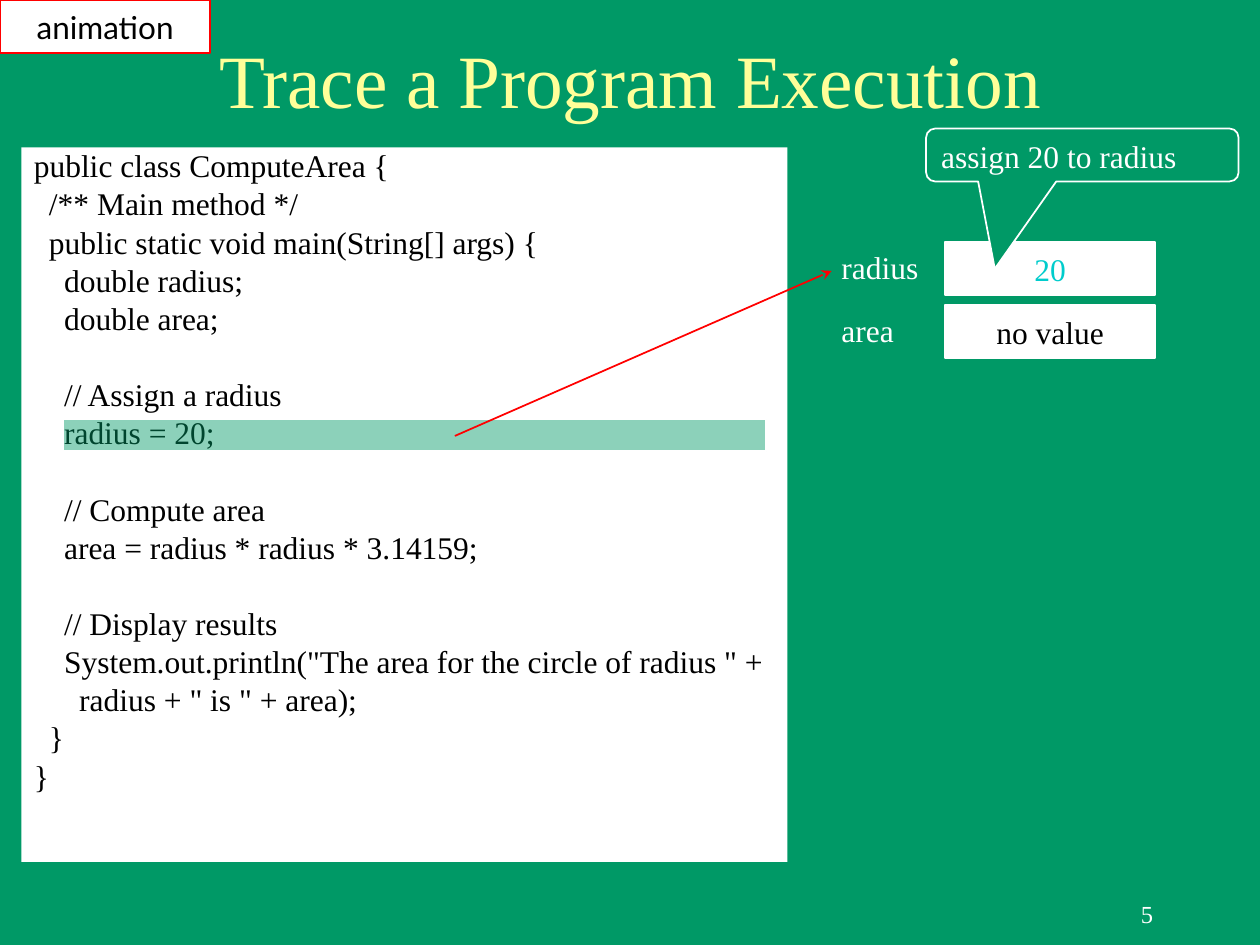
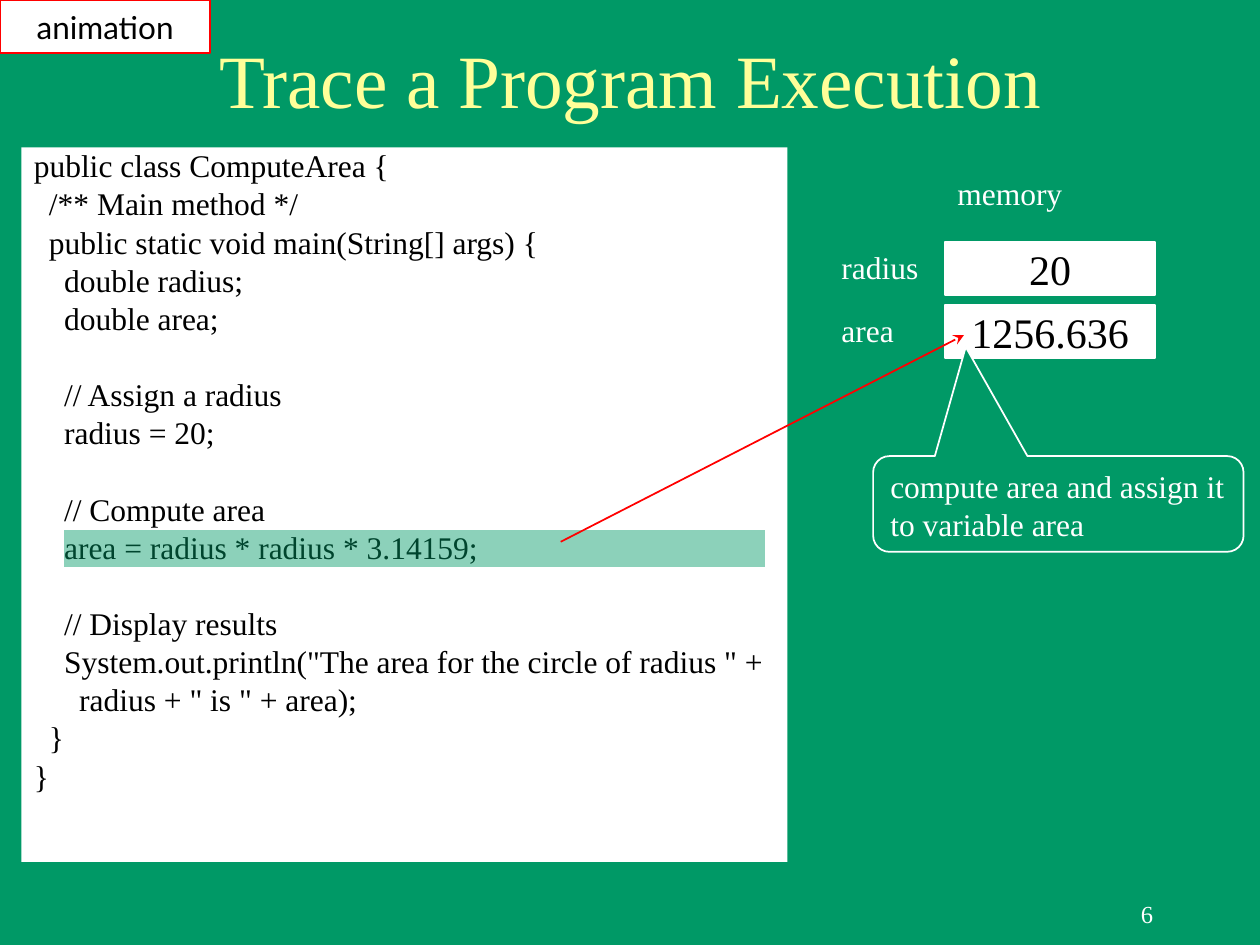
from dataclasses import dataclass
from typing import NamedTuple

from lxml.etree import SubElement
from pptx import Presentation
from pptx.dml.color import RGBColor
from pptx.enum.shapes import MSO_CONNECTOR, MSO_SHAPE
from pptx.enum.text import MSO_ANCHOR, PP_ALIGN
from pptx.oxml.ns import qn
from pptx.util import Inches, Pt


@dataclass(frozen=True)
class Theme:
    green: str = "009966"
    yellow: str = "FFFF99"
    white: str = "FFFFFF"
    black: str = "000000"
    red: str = "FF0000"
    cyan: str = "00CCCC"
    serif: str = "Times New Roman"
    sans: str = "Lato"
    title_size: float = 43
    value_size: float = 24
    body_size: float = 18
    footer_size: float = 14
    line_width: float = 1
    highlight_alpha: int = 45


class Box(NamedTuple):
    left: float
    top: float
    width: float
    height: float

    def lengths(self):
        return [Inches(side) for side in self]


THEME = Theme()
TITLE = "Trace a Program Execution"
PROGRAM = """public class ComputeArea {
  /** Main method */
  public static void main(String[] args) {
    double radius;
    double area;

    // Assign a radius
    radius = 20;

    // Compute area
    area = radius * radius * 3.14159;

    // Display results
    System.out.println("The area for the circle of radius " +
      radius + " is " + area);
  }
}"""

TAG_BOX = Box(0, 0, 1.67, 0.42)
TITLE_BOX = Box(0.75, 0.33, 8.5, 0.58)
PROGRAM_BOX = Box(0.17, 1.17, 6.08, 5.67)
MEMORY_BOX = Box(6.58, 1.92, 2.59, 0.92)
NUMBER_BOX = Box(7.17, 7, 2.08, 0.5)


def write(paragraph, text, color, size=THEME.body_size, font=THEME.serif):
    run = paragraph.add_run()
    run.text = text
    run.font.size = Pt(size)
    run.font.name = font
    run.font.color.rgb = RGBColor.from_string(color)


def add_label(slide, box, text, color=THEME.white, size=THEME.body_size,
              align=PP_ALIGN.LEFT, anchor=MSO_ANCHOR.TOP):
    frame = slide.shapes.add_textbox(*box.lengths()).text_frame
    frame.word_wrap = True
    frame.vertical_anchor = anchor
    frame.paragraphs[0].alignment = align
    write(frame.paragraphs[0], text, color, size)


def add_panel(slide, box, fill, line=None, preset=MSO_SHAPE.RECTANGLE):
    panel = slide.shapes.add_shape(preset, *box.lengths())
    panel.shadow.inherit = False
    panel.fill.solid()
    panel.fill.fore_color.rgb = RGBColor.from_string(fill)
    if line:
        panel.line.color.rgb = RGBColor.from_string(line)
        panel.line.width = Pt(THEME.line_width)
    else:
        panel.line.fill.background()
    return panel


def add_centred_panel(slide, box, text, line, color=THEME.black,
                      size=THEME.body_size, font=THEME.serif):
    frame = add_panel(slide, box, THEME.white, line).text_frame
    frame.word_wrap = False
    frame.vertical_anchor = MSO_ANCHOR.MIDDLE
    frame.paragraphs[0].alignment = PP_ALIGN.CENTER
    write(frame.paragraphs[0], text, color, size, font)


def add_program(slide, box):
    """Set the listing with indents for nesting and spacing for blank lines."""
    level_indent, line_gap, blank_line = 0.06, 4.5, 21.8
    frame = add_panel(slide, box, THEME.white).text_frame
    frame.word_wrap = True
    frame.vertical_anchor = MSO_ANCHOR.TOP
    paragraph = frame.paragraphs[0]
    space_before = line_gap
    for number, line in enumerate(PROGRAM.splitlines()):
        statement = line.lstrip()
        if not statement:
            space_before += blank_line
            continue
        if number:
            paragraph = frame.add_paragraph()
        paragraph.alignment = PP_ALIGN.LEFT
        paragraph.line_spacing = 0.8
        paragraph.space_before = Pt(space_before)
        depth = len(line) - len(statement)
        paragraph._p.get_or_add_pPr().set("marL", str(Inches(level_indent * depth)))
        write(paragraph, statement, THEME.black)
        space_before = line_gap


def add_memory(slide, box, values, color, size):
    """Stack one name and value cell per variable, evenly over the box."""
    name_width, cell_height = 0.92, 0.42
    pitch = (box.height - cell_height) / (len(values) - 1)
    for row, (name, value) in enumerate(values.items()):
        top = box.top + row * pitch
        add_label(slide, Box(box.left, top, name_width, cell_height), name)
        cell = Box(box.left + name_width, top, box.width - name_width, cell_height)
        changed = value != "no value"
        add_centred_panel(slide, cell, value, THEME.white,
                          color if changed else THEME.black,
                          size if changed else THEME.body_size)


def add_highlight(slide, top, height):
    bar = add_panel(slide, Box(0.5, top, 5.58, height), THEME.green, THEME.white)
    color = bar.fill._xPr.find(qn("a:solidFill"))[0]
    SubElement(color, qn("a:alpha"), val=str(THEME.highlight_alpha * 1000))


def add_arrow(slide, start, end):
    arrow = slide.shapes.add_connector(
        MSO_CONNECTOR.STRAIGHT, *[Inches(place) for place in start + end])
    arrow.line.color.rgb = RGBColor.from_string(THEME.red)
    arrow.line.width = Pt(THEME.line_width)
    SubElement(arrow.line._get_or_add_ln(), qn("a:tailEnd"), type="stealth")
    SubElement(arrow._element.spPr, qn("a:effectLst"))


def add_callout(slide, box, text, pointer):
    callout = add_panel(slide, box, THEME.green, THEME.white,
                        MSO_SHAPE.ROUNDED_RECTANGULAR_CALLOUT)
    for index, value in enumerate((*pointer, 0.17)):
        callout.adjustments[index] = value
    frame = callout.text_frame
    frame.word_wrap = True
    frame.vertical_anchor = MSO_ANCHOR.TOP
    frame.paragraphs[0].alignment = PP_ALIGN.LEFT
    write(frame.paragraphs[0], text, THEME.white)


def add_trace_slide(deck, number, values, value_color, value_size):
    """Build what every step of the trace shares."""
    slide = deck.slides.add_slide(deck.slide_layouts[6])
    background = slide.background.fill
    background.solid()
    background.fore_color.rgb = RGBColor.from_string(THEME.green)
    add_label(slide, NUMBER_BOX, str(number), size=THEME.footer_size,
              align=PP_ALIGN.RIGHT, anchor=MSO_ANCHOR.MIDDLE)
    add_label(slide, TITLE_BOX, TITLE, THEME.yellow, THEME.title_size,
              PP_ALIGN.CENTER, MSO_ANCHOR.MIDDLE)
    add_program(slide, PROGRAM_BOX)
    add_memory(slide, MEMORY_BOX, values, value_color, value_size)
    add_centred_panel(slide, TAG_BOX, "animation", THEME.red, font=THEME.sans)
    return slide


def add_radius_step(deck):
    slide = add_trace_slide(deck, 5, {"radius": "20", "area": "no value"},
                            THEME.cyan, THEME.body_size)
    add_highlight(slide, 3.33, 0.25)
    add_callout(slide, Box(7.35, 1.02, 2.48, 0.42), "assign 20 to radius",
                (-0.28, 2.15))
    add_arrow(slide, (3.61, 3.46), (6.6, 2.15))


def add_area_step(deck):
    slide = add_trace_slide(deck, 6, {"radius": "20", "area": "1256.636"},
                            THEME.black, THEME.value_size)
    add_label(slide, Box(7.5, 1.33, 1.58, 0.4), "memory")
    add_highlight(slide, 4.2, 0.31)
    add_arrow(slide, (4.45, 4.3), (7.65, 2.66))
    add_callout(slide, Box(6.93, 3.62, 2.94, 0.76),
                "compute area and assign it to variable area", (-0.25, -1.64))


def main():
    deck = Presentation()
    deck.slide_width, deck.slide_height = Inches(10), Inches(7.5)
    add_radius_step(deck)
    add_area_step(deck)
    deck.save("out.pptx")


if __name__ == "__main__":
    main()
